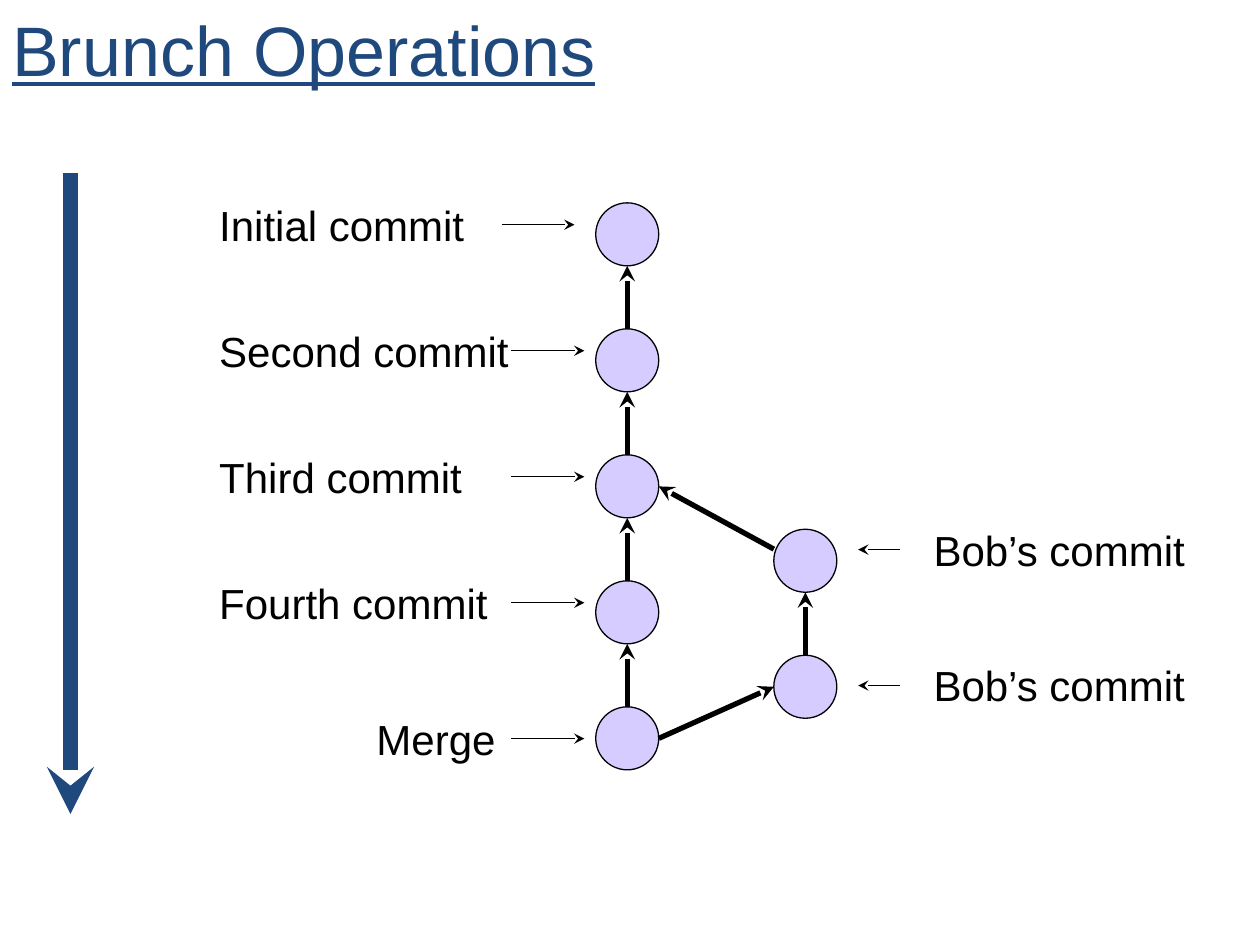
from typing import NamedTuple

from lxml.etree import SubElement
from pptx import Presentation
from pptx.dml.color import RGBColor
from pptx.enum.shapes import MSO_CONNECTOR, MSO_SHAPE
from pptx.oxml.ns import qn
from pptx.slide import Slide
from pptx.util import Cm, Pt

HUES = {"ink": "000000", "navy": "1F497D", "lilac": "D6CCFF"}
SIZE = 1.27
STEP = 2 * SIZE


class Node(NamedTuple):
    """A commit circle, placed by its left and top in cm."""
    left: float
    top: float

    @property
    def north(self) -> tuple[float, float]:
        return self.left + SIZE / 2, self.top

    @property
    def south(self) -> tuple[float, float]:
        return self.left + SIZE / 2, self.top + SIZE

    @property
    def west(self) -> tuple[float, float]:
        return self.left, self.top + SIZE / 2

    @property
    def east(self) -> tuple[float, float]:
        return self.left + SIZE, self.top + SIZE / 2


class Label(NamedTuple):
    """A caption and the start and end of its pointer in cm."""
    text: str
    left: float
    top: float
    width: float
    start: float = 10.31
    end: float = 11.78


def hue(name: str) -> RGBColor:
    """Return the named colour."""
    return RGBColor.from_string(HUES[name])


def write(slide: Slide, text: str, left: float, top: float, width: float,
          height: float, size: int = 24, tint: str = "ink", line: bool = False) -> None:
    """Add a wrapped text box."""
    box = slide.shapes.add_textbox(Cm(left), Cm(top), Cm(width), Cm(height))
    frame = box.text_frame
    frame.word_wrap = True
    frame.text = text
    font = frame.paragraphs[0].runs[0].font
    font.name, font.size, font.underline = "Arial", Pt(size), line
    font.color.rgb = hue(tint)


def arrow(slide: Slide, start: tuple[float, float], end: tuple[float, float],
          width: float = 0.75, tint: str = "ink") -> None:
    """Add a straight line with a stealth head at its end."""
    ends = [Cm(n) for n in (*start, *end)]
    link = slide.shapes.add_connector(MSO_CONNECTOR.STRAIGHT, *ends)
    link.line.width = Pt(width)
    link.line.color.rgb = hue(tint)
    SubElement(link.line._get_or_add_ln(), qn("a:tailEnd"), type="stealth")
    SubElement(link._element.spPr, qn("a:effectLst"))


def circle(slide: Slide, node: Node) -> None:
    """Add a commit circle."""
    dot = slide.shapes.add_shape(
        MSO_SHAPE.OVAL, Cm(node.left), Cm(node.top), Cm(SIZE), Cm(SIZE))
    dot.shadow.inherit = False
    dot.fill.solid()
    dot.fill.fore_color.rgb = hue("lilac")
    dot.line.color.rgb = hue("ink")
    dot.line.width = Pt(0.75)


def point(slide: Slide, label: Label) -> None:
    """Add a caption with its pointer."""
    write(slide, label.text, label.left, label.top, label.width, 1.3)
    level = label.top + 0.64
    arrow(slide, (label.start, level), (label.end, level))


def main() -> None:
    """Build the branch slide."""
    deck = Presentation()
    deck.slide_width, deck.slide_height = Cm(25.4), Cm(19.05)
    slide = deck.slides.add_slide(deck.slide_layouts[6])

    trunk = [Node(12.01, 4.09 + STEP * i) for i in range(5)]
    branch = [Node(15.6, 10.67 + STEP * i) for i in range(2)]
    for node in trunk + branch:
        circle(slide, node)
    for line in (trunk, branch):
        for old, new in zip(line, line[1:]):
            arrow(slide, new.north, old.south, 3)
    arrow(slide, (branch[0].left, 11.07), trunk[2].east, 3)
    arrow(slide, trunk[4].east, branch[1].west, 3)

    labels = [
        Label("Initial commit", 4.17, 3.89, 5.92, 10.11, 11.58),
        Label("Second commit", 4.17, 3.89 + STEP, 6.4),
        Label("Third commit", 4.17, 3.89 + STEP * 2, 6.15),
        Label("Fourth commit", 4.17, 3.89 + STEP * 3, 6.15),
        Label("Merge", 7.34, 14.25, 2.97),
        Label("Bob’s commit", 18.57, 10.44, 6.4, 18.14, 17.3),
        Label("Bob’s commit", 18.57, 13.18, 6.4, 18.14, 17.3),
    ]
    for label in labels:
        point(slide, label)

    arrow(slide, (1.42, 3.48), (1.42, 16.41), 9, "navy")
    write(slide, "Brunch Operations", 0, 0, 25.4, 1.96, 40, "navy", True)
    deck.save("out.pptx")


if __name__ == "__main__":
    main()
